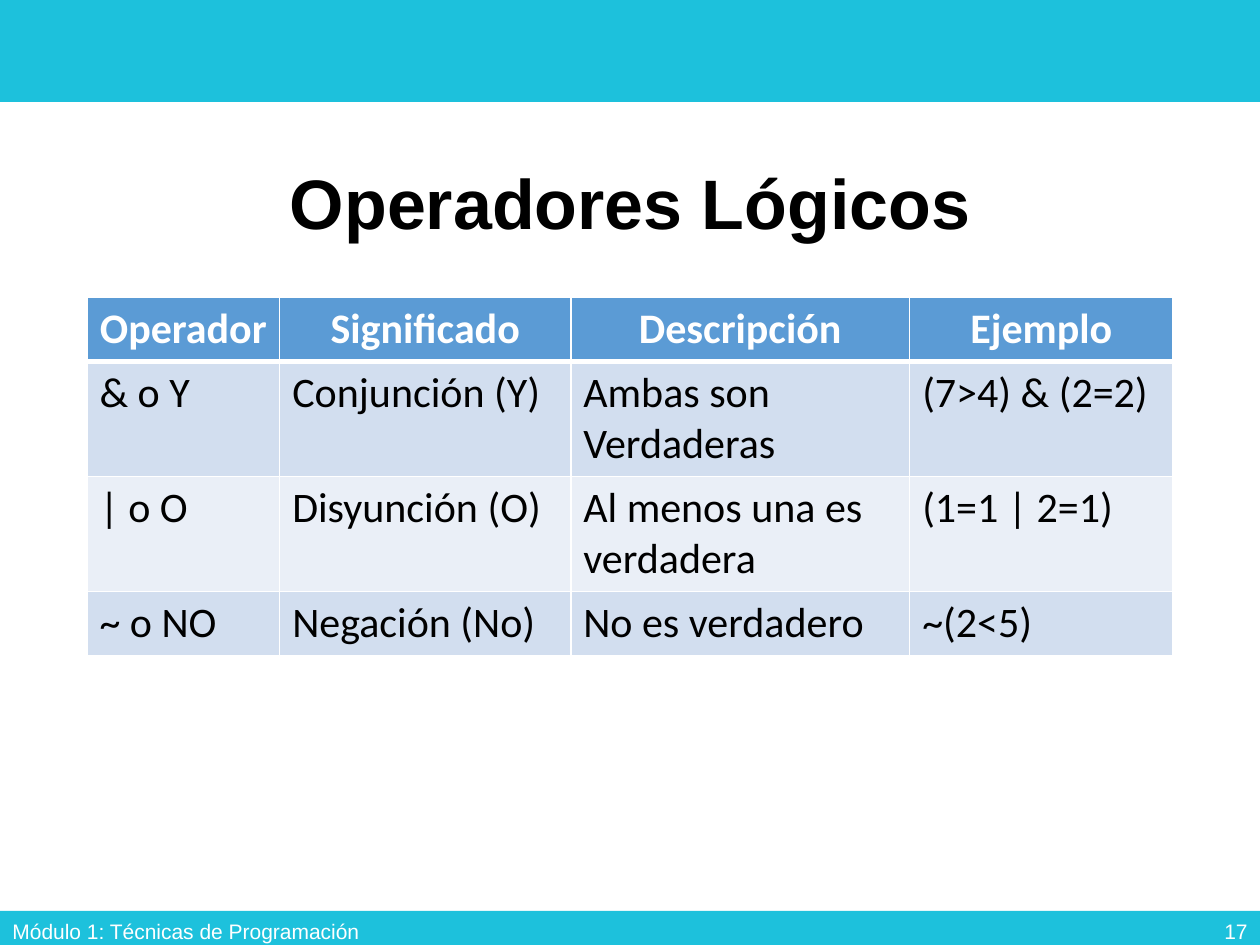
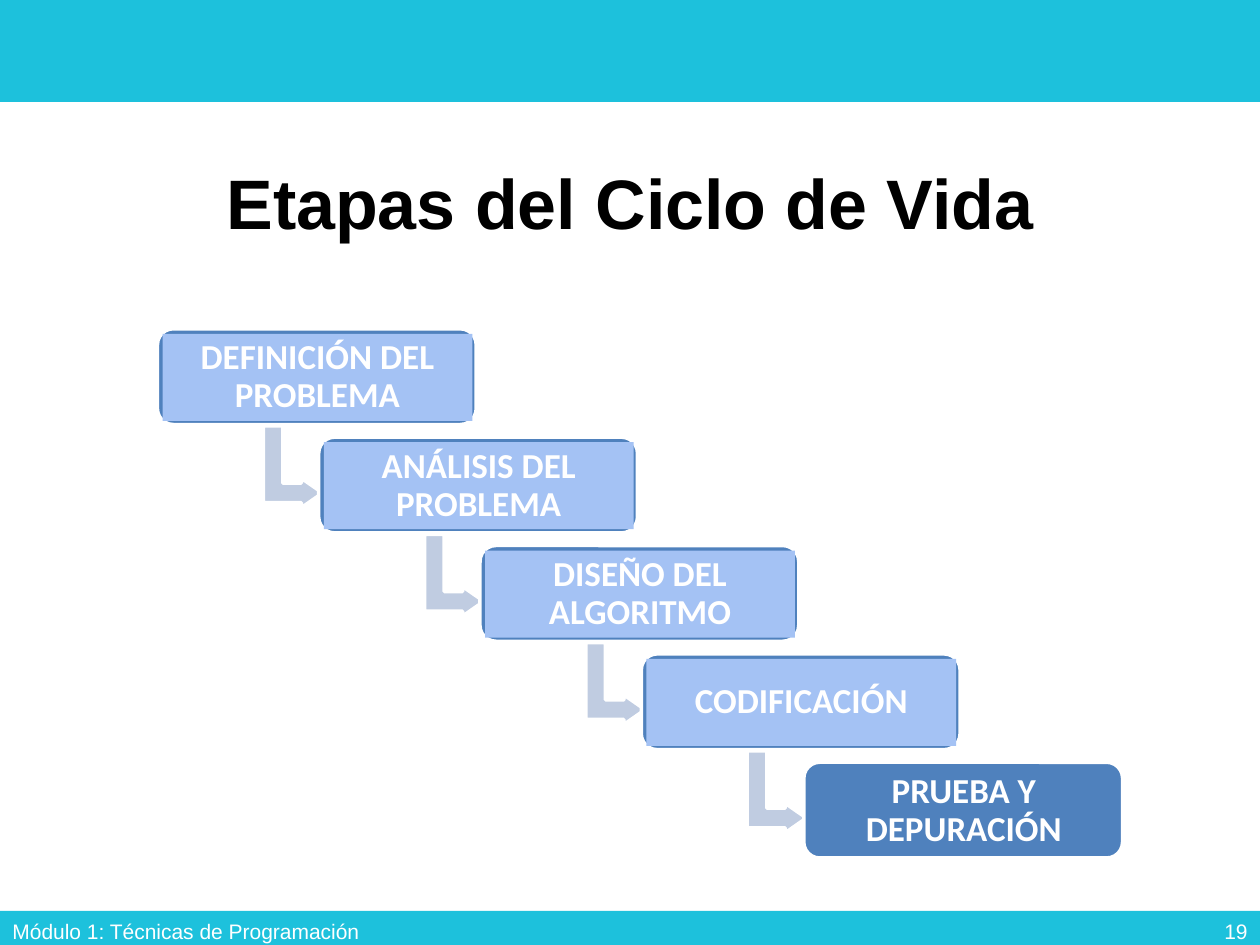
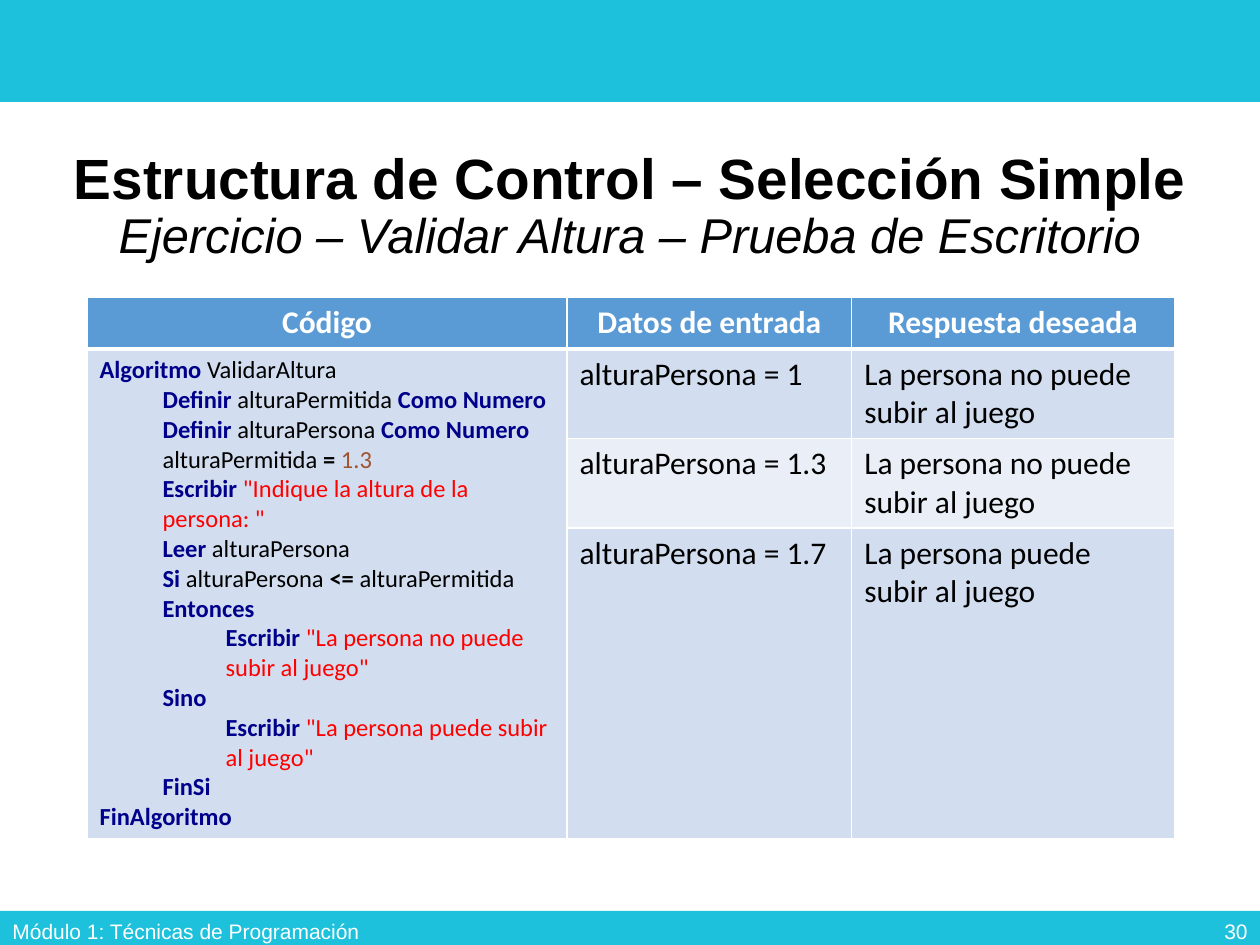
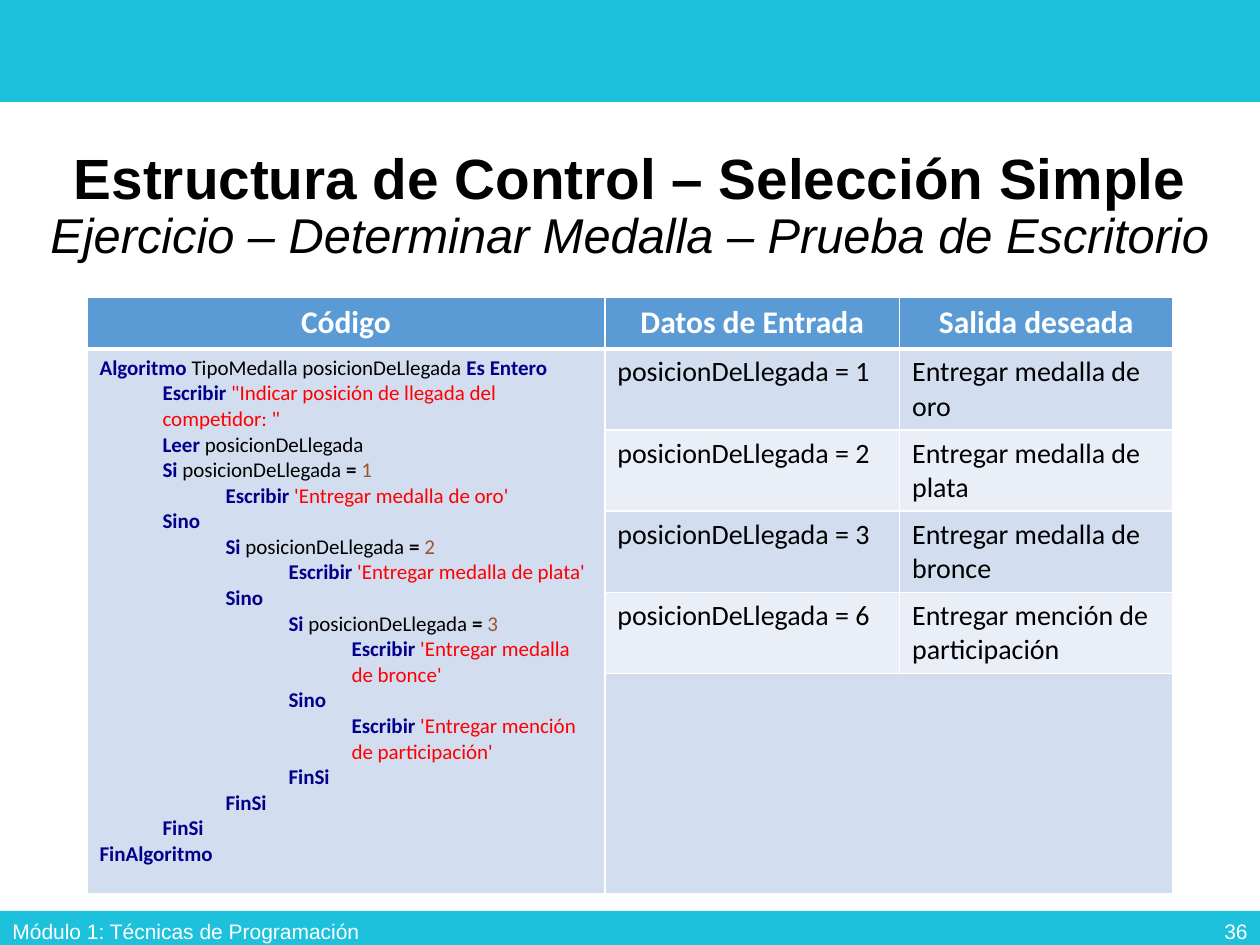
from dataclasses import dataclass, field
from itertools import groupby
from typing import NamedTuple

from lxml import etree
from pptx import Presentation
from pptx import util as u
from pptx.dml.color import RGBColor
from pptx.enum import shapes, text
from pptx.oxml import ns

EMU_PER_PX = 9144
CYAN, WHITE, BLACK = "1DC1DC", "FFFFFF", "000000"
HEADER_BLUE, BAND_DARK, BAND_LIGHT = "5B9BD5", "D2DEEF", "EAEFF7"
STEP_BLUE, STEP_LIGHT, ARROW_BLUE = "4F81BD", "A4C2F4", "C0CCE1"
FOOTER_TEXT = "Módulo 1: Técnicas de Programación"
TITLE_ONLY = 5
TABLE_LEFT, TABLE_TOP = 69, 236

KEYWORDS = {"Algoritmo", "Definir", "Como", "Numero", "Escribir", "Leer", "Si", "Entonces",
            "Sino", "FinSi", "FinAlgoritmo", "Es", "Entero"}
CODE_STYLES = {
    "keyword": {"color": "00008B", "bold": True},
    "operator": {"color": BLACK, "bold": True},
    "number": {"color": "A0522D", "bold": False},
    "string": {"color": "FF0000", "bold": False},
    "name": {"color": BLACK, "bold": False},
}


class Area(NamedTuple):
    left: int
    top: int
    width: int
    height: int

    def emu(self) -> list:
        return [px(value) for value in self]


class Line(NamedTuple):
    level: int
    words: str


@dataclass
class Heading:
    main: str
    sub: str = ""
    area: Area = Area(69, 98, 862, 133)


@dataclass
class Grid:
    columns: list[int]
    heights: list[int]
    header: list[str]
    rows: list[list[str]]
    size: int
    header_size: int
    code: list[Line] = field(default_factory=list)
    code_size: int = 14


@dataclass
class Lesson:
    number: int
    heading: Heading
    grid: Grid | None = None
    steps: list[str] = field(default_factory=list)


WIDE = Area(0, 98, 1000, 133)
SELECTION = "Estructura de Control – Selección Simple"

LOGIC_GRID = Grid(
    columns=[153, 231, 269, 209], heights=[50, 91, 91, 50],
    header=["Operador", "Significado", "Descripción", "Ejemplo"],
    rows=[["& o Y", "Conjunción (Y)", "Ambas son Verdaderas", "(7>4) & (2=2)"],
          ["| o O", "Disyunción (O)", "Al menos una es verdadera", "(1=1 | 2=1)"],
          ["~ o NO", "Negación (No)", "No es verdadero", "~(2<5)"]],
    size=24, header_size=24)

HEIGHT_GRID = Grid(
    columns=[381, 226, 256], heights=[41, 71, 71, 247],
    header=["Código", "Datos de entrada", "Respuesta deseada"],
    rows=[["", "alturaPersona = 1", "La persona no puede subir al juego"],
          ["", "alturaPersona = 1.3", "La persona no puede subir al juego"],
          ["", "alturaPersona = 1.7", "La persona puede subir al juego"]],
    size=18, header_size=18, code_size=14,
    code=[Line(0, "Algoritmo ValidarAltura"),
          Line(1, "Definir alturaPermitida Como Numero"),
          Line(1, "Definir alturaPersona Como Numero"),
          Line(1, "alturaPermitida = 1.3"),
          Line(1, 'Escribir "Indique la altura de la persona: "'),
          Line(1, "Leer alturaPersona"),
          Line(1, "Si alturaPersona <= alturaPermitida Entonces"),
          Line(2, 'Escribir "La persona no puede subir al juego"'),
          Line(1, "Sino"),
          Line(2, 'Escribir "La persona puede subir al juego"'),
          Line(1, "FinSi"),
          Line(0, "FinAlgoritmo")])

MEDAL_GRID = Grid(
    columns=[411, 234, 217], heights=[41, 64, 64, 64, 64, 175],
    header=["Código", "Datos de Entrada", "Salida deseada"],
    rows=[["", "posicionDeLlegada = 1", "Entregar medalla de oro"],
          ["", "posicionDeLlegada = 2", "Entregar medalla de plata"],
          ["", "posicionDeLlegada = 3", "Entregar medalla de bronce"],
          ["", "posicionDeLlegada = 6", "Entregar mención de participación"],
          []],
    size=16, header_size=18, code_size=12,
    code=[Line(0, "Algoritmo TipoMedalla posicionDeLlegada Es Entero"),
          Line(1, 'Escribir "Indicar posición de llegada del competidor: "'),
          Line(1, "Leer posicionDeLlegada"),
          Line(1, "Si posicionDeLlegada = 1"),
          Line(2, "Escribir 'Entregar medalla de oro'"),
          Line(1, "Sino"),
          Line(2, "Si posicionDeLlegada = 2"),
          Line(3, "Escribir 'Entregar medalla de plata'"),
          Line(2, "Sino"),
          Line(3, "Si posicionDeLlegada = 3"),
          Line(4, "Escribir 'Entregar medalla de bronce'"),
          Line(3, "Sino"),
          Line(4, "Escribir 'Entregar mención de participación'"),
          Line(3, "FinSi"),
          Line(2, "FinSi"),
          Line(1, "FinSi"),
          Line(0, "FinAlgoritmo")])

LESSONS = [
    Lesson(17, Heading("Operadores Lógicos"), grid=LOGIC_GRID),
    Lesson(19, Heading("Etapas del Ciclo de Vida"),
           steps=["DEFINICIÓN DEL PROBLEMA", "ANÁLISIS DEL PROBLEMA", "DISEÑO DEL ALGORITMO",
                  "CODIFICACIÓN", "PRUEBA Y DEPURACIÓN"]),
    Lesson(30, Heading(SELECTION, "Ejercicio – Validar Altura – Prueba de Escritorio", WIDE),
           grid=HEIGHT_GRID),
    Lesson(36, Heading(SELECTION, "Ejercicio – Determinar Medalla – Prueba de Escritorio", WIDE),
           grid=MEDAL_GRID),
]


def px(value: int) -> u.Emu:
    return u.Emu(value * EMU_PER_PX)


def paint(target, color: str) -> None:
    target.rgb = RGBColor.from_string(color)


def fill_with(target, color: str) -> None:
    target.fill.solid()
    paint(target.fill.fore_color, color)


def assign(target, **values) -> None:
    for name, value in values.items():
        setattr(target, name, value)


def add_span(para, words: str, size: float, color: str, name: str = "Calibri", **values) -> None:
    span = para.add_run()
    span.text = words
    assign(span.font, size=u.Pt(size), name=name, **values)
    paint(span.font.color, color)


def add_block(parent, kind, area: Area, color: str, outline: str = ""):
    block = parent.add_shape(kind, *area.emu())
    block.shadow.inherit = False
    fill_with(block, color)
    if outline:
        fill_with(block.line, outline)
        block.line.width = u.Pt(2)
    else:
        block.line.fill.background()
    return block


def add_bands(deck, page) -> None:
    tree = deck.slide_master.shapes.element
    for position, area in enumerate([Area(0, 0, 1000, 81), Area(0, 723, 1000, 31)]):
        band = add_block(page.shapes, shapes.MSO_SHAPE.RECTANGLE, area, CYAN)
        band.element.nvSpPr.cNvPr.set("id", str(100 + position))
        tree.insert(2 + position, band.element)


def add_title(page, heading: Heading) -> None:
    title = page.shapes.title
    left, top, width, height = heading.area.emu()
    assign(title, left=left, top=top, width=width, height=height)
    assign(title.text_frame, word_wrap=True, vertical_anchor=text.MSO_ANCHOR.MIDDLE,
           auto_size=text.MSO_AUTO_SIZE.NONE)
    para = title.text_frame.paragraphs[0]
    assign(para, alignment=text.PP_ALIGN.CENTER, line_spacing=0.9)
    add_span(para, heading.main, 32.4 if heading.sub else 40, BLACK, "Arial", bold=True)
    if heading.sub:
        para.add_line_break()
        add_span(para, heading.sub, 27.9, BLACK, "Arial", bold=False, italic=True)


def add_footer(page, number: int) -> None:
    for words, area, alignment in [
        (FOOTER_TEXT, Area(0, 719, 338, 40), text.PP_ALIGN.LEFT),
        (str(number), Area(775, 719, 225, 40), text.PP_ALIGN.RIGHT),
    ]:
        box = page.shapes.add_textbox(*area.emu())
        assign(box.text_frame, word_wrap=True, vertical_anchor=text.MSO_ANCHOR.MIDDLE)
        para = box.text_frame.paragraphs[0]
        para.alignment = alignment
        add_span(para, words, 12, WHITE, "Arial")


def set_borders(cell, row: int) -> None:
    properties = cell._tc.get_or_add_tcPr()
    widths = {"lnL": 1, "lnR": 1, "lnT": 3 if row == 1 else 1, "lnB": 3 if row == 0 else 1}
    for tag, width in widths.items():
        border = etree.SubElement(properties, ns.qn(f"a:{tag}"), w=str(u.Pt(width)))
        fill = etree.SubElement(border, ns.qn("a:solidFill"))
        etree.SubElement(fill, ns.qn("a:srgbClr"), val=WHITE)


def word_kind(word: str) -> str:
    if word in KEYWORDS:
        return "keyword"
    if word in ("=", "<="):
        return "operator"
    if word[0] in "\"'":
        return "string"
    return "number" if word[0].isdigit() else "name"


def write_code(cell, lines: list[Line], size: int) -> None:
    frame = cell.text_frame
    for position, line in enumerate(lines):
        para = frame.add_paragraph() if position else frame.paragraphs[0]
        para.level = line.level
        properties = para._p.get_or_add_pPr()
        properties.set("marL", str(px(50 * line.level)))
        properties.set("indent", "0")
        words = line.words.split(" ", 1 if line.words.startswith("Escribir") else -1)
        groups = [(kind, " ".join(group)) for kind, group in groupby(words, word_kind)]
        for place, (kind, words_together) in enumerate(groups, 1):
            gap = " " if place < len(groups) else ""
            add_span(para, words_together + gap, size, **CODE_STYLES[kind])


def add_grid(page, grid: Grid) -> None:
    area = Area(TABLE_LEFT, TABLE_TOP, sum(grid.columns), sum(grid.heights))
    table = page.shapes.add_table(len(grid.heights), len(grid.columns), *area.emu()).table
    for column, width in zip(table.columns, grid.columns):
        column.width = px(width)
    for row, (height, entries) in enumerate(zip(grid.heights, [grid.header, *grid.rows])):
        table.rows[row].height = px(height)
        color = HEADER_BLUE if row == 0 else (BAND_LIGHT, BAND_DARK)[row % 2]
        for column, cell in enumerate(table.rows[row].cells):
            set_borders(cell, row)
            fill_with(cell, color)
            words = entries[column] if entries else ""
            if not words:
                continue
            para = cell.text_frame.paragraphs[0]
            if row == 0:
                para.alignment = text.PP_ALIGN.CENTER
                add_span(para, words, grid.header_size, WHITE, bold=True)
            else:
                add_span(para, words, grid.size, BLACK, bold=False)
        if not entries:
            table.cell(row, 1).merge(table.cell(row, len(grid.columns) - 1))
    if grid.code:
        table.cell(1, 0).merge(table.cell(len(grid.rows), 0))
        write_code(table.cell(1, 0), grid.code, grid.code_size)


def add_staircase(page, steps: list[str]) -> None:
    group = page.shapes.add_group_shape().shapes
    last = len(steps) - 1
    for position, words in enumerate(steps):
        left, top = 125 + position * 513 // 4, 261 + position * 86
        if position < last:
            arrow = add_block(group, shapes.MSO_SHAPE.BENT_UP_ARROW,
                              Area(left + 75, top + 86, 65, 47), ARROW_BLUE, WHITE)
            arrow.rotation = 90
            for index, value in enumerate([0.33, 0.25, 0.36]):
                arrow.adjustments[index] = value
        add_block(group, shapes.MSO_SHAPE.ROUNDED_RECTANGLE,
                  Area(left, top, 253, 76), STEP_BLUE, WHITE)
        label = add_block(group, shapes.MSO_SHAPE.RECTANGLE,
                          Area(left + 4, top + 4, 246, 69), STEP_LIGHT)
        if position == last:
            label.fill.background()
        inset = px(12)
        assign(label.text_frame, word_wrap=True, vertical_anchor=text.MSO_ANCHOR.MIDDLE,
               margin_left=inset, margin_top=inset, margin_right=inset, margin_bottom=inset)
        para = label.text_frame.paragraphs[0]
        assign(para, alignment=text.PP_ALIGN.CENTER, line_spacing=0.9)
        add_span(para, words, 20, WHITE, bold=True)


def main() -> None:
    deck = Presentation()
    assign(deck, slide_width=px(1000), slide_height=px(750))
    for lesson in LESSONS:
        page = deck.slides.add_slide(deck.slide_layouts[TITLE_ONLY])
        if lesson is LESSONS[0]:
            add_bands(deck, page)
        add_title(page, lesson.heading)
        if lesson.grid:
            add_grid(page, lesson.grid)
        add_footer(page, lesson.number)
        if lesson.steps:
            add_staircase(page, lesson.steps)
    deck.save("out.pptx")


if __name__ == "__main__":
    main()
